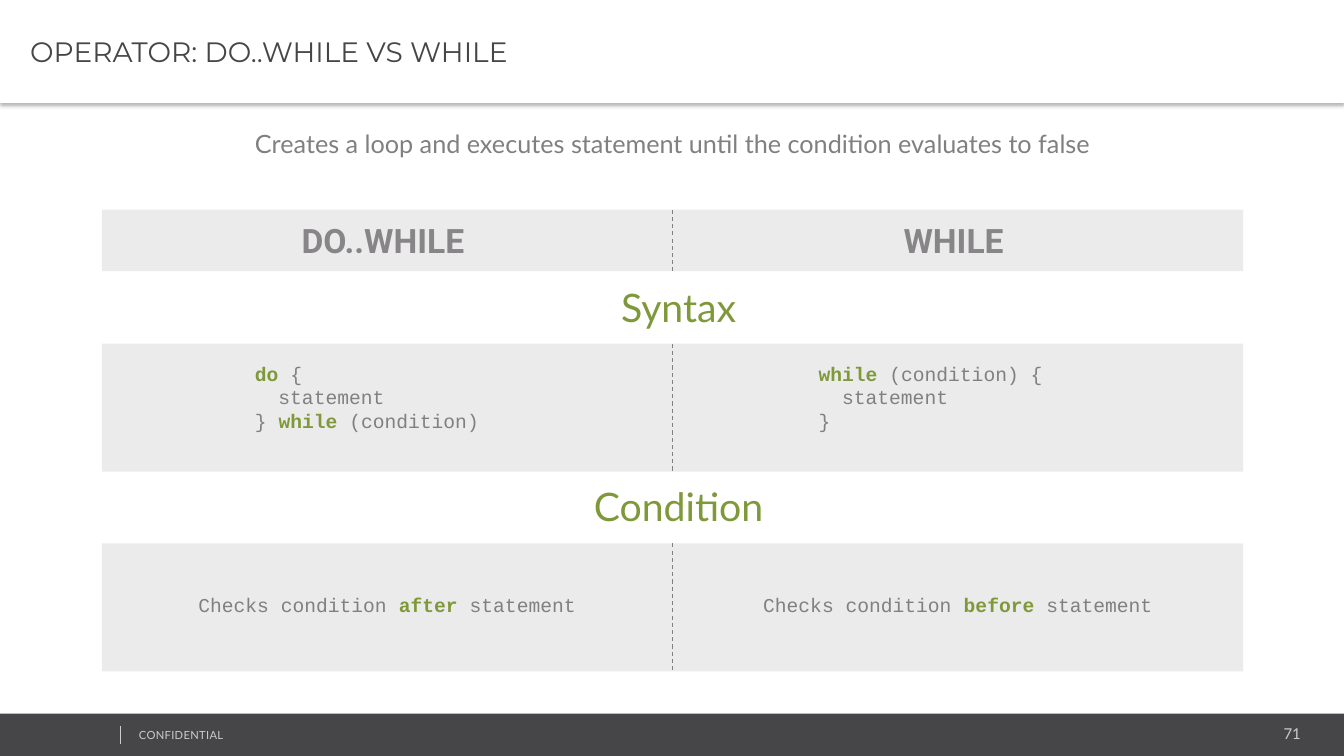
from lxml import etree
from pptx import Presentation
from pptx import util as u
from pptx.dml.color import RGBColor
from pptx.enum import dml, shapes, text
from pptx.oxml.ns import qn

# Content: a run is (words, is keyword)
TITLE = "OPERATOR: DO..WHILE VS WHILE"
SUMMARY = "Creates a loop and executes statement until the condition evaluates to false"
COLUMNS = ["DO..WHILE ", "WHILE "]
SECTIONS = ["Syntax", "Condition"]
SYNTAX = [
    [[("do", True), (" {", False)],
     [("  statement", False)],
     [("} ", False), ("while ", True), ("(condition)", False)]],
    [[("while", True), (" (condition) {", False)],
     [("  statement", False)],
     [("}", False)]],
]
CONDITIONS = [
    [[("Checks condition ", False), (word, True), (" statement", False)]]
    for word in ("after", "before")
]
FOOTER, PAGE = "CONFIDENTIAL", "71"

# Look
COLORS = {"dark": "464547", "pale": "CCCCCC", "gray": "808080", "label": "878588",
          "green": "7F993A", "band": "D9D9D9", "white": "FFFFFF"}
STYLES = {
    "title": {"name": "Montserrat", "size": 20, "color": "dark"},
    "summary": {"name": "Lato", "size": 18, "color": "gray"},
    "column": {"name": "Roboto", "size": 24, "color": "label", "bold": True},
    "section": {"name": "Lato", "size": 28, "color": "green"},
    "code": {"name": "Courier New", "size": 14, "color": "gray"},
    "keyword": {"name": "Courier New", "size": 14, "color": "green", "bold": True},
    "footer": {"name": "Lato", "size": 8, "color": "pale"},
    "page": {"name": "Lato", "size": 10.7, "color": "pale"},
}
LEFT, CENTER, RIGHT = text.PP_ALIGN.LEFT, text.PP_ALIGN.CENTER, text.PP_ALIGN.RIGHT

# Grid, in inches
WIDTH, HEIGHT = 13.33, 7.5
COLUMN_WIDTH = 5.66
GRID_LEFT = 1.01
MIDDLE = GRID_LEFT + COLUMN_WIDTH
HEADER_TOP, HEADER_HEIGHT = 2.08, 0.61
BAND_TOP, BAND_HEIGHT, BAND_STEP = 3.41, 1.27, 1.98
BANDS = [(HEADER_TOP, HEADER_HEIGHT)] + [
    (BAND_TOP + row * BAND_STEP, BAND_HEIGHT) for row in range(len(SECTIONS))]
CODE_LEFTS = [2.43, 8.02]
FOOTER_TOP = 7.08

presentation = Presentation()
presentation.slide_width, presentation.slide_height = u.Inches(WIDTH), u.Inches(HEIGHT)
slide = presentation.slides.add_slide(presentation.slide_layouts[6])


def rgb(color):
    return RGBColor.from_string(COLORS[color])


def inches(*lengths):
    return [u.Inches(length) for length in lengths]


def fill_text(frame, paragraphs, style, align):
    for index, runs in enumerate(paragraphs):
        paragraph = frame.paragraphs[0] if index == 0 else frame.add_paragraph()
        paragraph.alignment = align
        for words, is_keyword in runs:
            run = paragraph.add_run()
            run.text = words
            look = STYLES["keyword" if is_keyword else style]
            values = {"name": look["name"], "size": u.Pt(look["size"]),
                      "bold": look.get("bold", False)}
            for key, value in values.items():
                setattr(run.font, key, value)
            run.font.color.rgb = rgb(look["color"])


def add_text(box, content, style, align=LEFT, wrap=True):
    paragraphs = [[(content, False)]] if isinstance(content, str) else content
    frame = slide.shapes.add_textbox(*inches(*box)).text_frame
    frame.word_wrap = wrap
    fill_text(frame, paragraphs, style, align)
    return frame


def add_rectangle(box, color, alpha=None):
    shape = slide.shapes.add_shape(shapes.MSO_SHAPE.RECTANGLE, *inches(*box))
    shape.shadow.inherit = False
    shape.fill.solid()
    shape.fill.fore_color.rgb = rgb(color)
    shape.line.fill.background()
    if alpha:
        tint = shape._element.spPr.find(".//" + qn("a:srgbClr"))
        etree.SubElement(tint, qn("a:alpha"), val=str(alpha * 1000))
    return shape


def add_vertical(x, top, height, color, weight, dash=None):
    line = slide.shapes.add_connector(
        shapes.MSO_CONNECTOR.STRAIGHT, *inches(x, top, x, top + height))
    line.line.color.rgb = rgb(color)
    line.line.width = u.Pt(weight)
    if dash:
        line.line.dash_style = dash
    etree.SubElement(line._element.spPr, qn("a:effectLst"))


# Footer
add_rectangle((0, FOOTER_TOP, WIDTH, HEIGHT - FOOTER_TOP), "dark")
add_text((10.82, 7.14, 2.18, 0.28), PAGE, "page", RIGHT)
footer = add_text((1.28, 7.18, 3.38, 0.24), FOOTER, "footer")
footer.paragraphs[0].runs[0].font._element.set("spc", "20")
add_vertical(1.19, 7.2, 0.18, "pale", 0.25)

# Summary
add_text((2.22, 1.22, 8.9, 0.4), SUMMARY, "summary", CENTER, wrap=False)

# Bands with their dashed dividers
for top, height in BANDS:
    add_rectangle((GRID_LEFT, top, 2 * COLUMN_WIDTH, height), "band", alpha=50)
    add_vertical(MIDDLE, top, height, "gray", 0.75, dml.MSO_LINE.DASH)

# Section headings, each above its band
for row, section in enumerate(SECTIONS):
    top = BAND_TOP + row * BAND_STEP - 0.65
    add_text((5.79, top, 1.88, 0.57), section, "section", CENTER, wrap=False)

# Two columns: label, syntax, condition
for column, label in enumerate(COLUMNS):
    left = GRID_LEFT + column * COLUMN_WIDTH
    add_text((left, 2.13, COLUMN_WIDTH, 0.5), label, "column", CENTER)
    add_text((CODE_LEFTS[column], 3.54, 2.95, 0.81), SYNTAX[column], "code")
    add_text((left, 5.83, COLUMN_WIDTH, 0.34), CONDITIONS[column], "code", CENTER)

# Title bar with a soft shadow below
bar = add_rectangle((0, 0, WIDTH, 1.02), "white")
effects = bar._element.spPr.find(qn("a:effectLst"))
shadow = etree.SubElement(effects, qn("a:outerShdw"), blurRad=str(u.Pt(3.1)),
                          dist=str(u.Pt(2)), dir="5400000", algn="t", rotWithShape="0")
shade = etree.SubElement(shadow, qn("a:srgbClr"), val="000000")
etree.SubElement(shade, qn("a:alpha"), val="30000")
frame = bar.text_frame
frame.vertical_anchor = text.MSO_ANCHOR.MIDDLE
frame.margin_left, frame.margin_right = inches(0.3, 0.07)
frame.margin_top, frame.margin_bottom = inches(0.04, 0.04)
fill_text(frame, [[(TITLE, False)]], "title", LEFT)

presentation.save("out.pptx")
